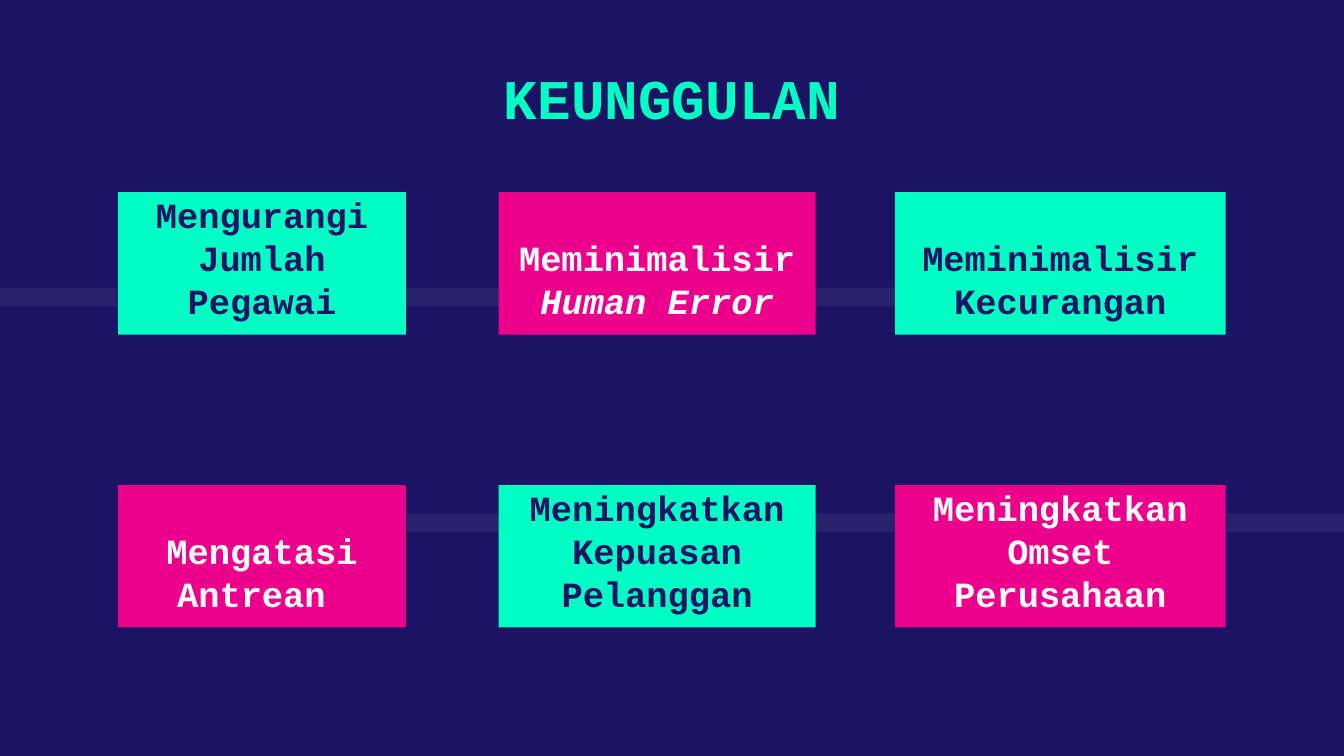
from lxml import etree
from pptx import Presentation
from pptx.dml.color import RGBColor
from pptx.enum.shapes import MSO_SHAPE
from pptx.enum.text import MSO_ANCHOR, PP_ALIGN
from pptx.oxml.ns import qn
from pptx.util import Inches, Pt

RECT = MSO_SHAPE.RECTANGLE
TOP, BOTTOM = MSO_ANCHOR.TOP, MSO_ANCHOR.BOTTOM
CENTER = PP_ALIGN.CENTER


class Theme:
    navy = RGBColor.from_string("1B1464")
    mint = RGBColor.from_string("00FFC5")
    pink = RGBColor.from_string("EC008C")
    white = RGBColor.from_string("FFFFFF")
    font = "Courier New"
    title = Pt(30)
    body = Pt(19)


def add_rect(left, top, width, height, color):
    shape = slide.shapes.add_shape(
        RECT, Inches(left), Inches(top), Inches(width), Inches(height))
    shape.shadow.inherit = False
    shape.fill.solid()
    shape.fill.fore_color.rgb = color
    shape.line.fill.background()
    return shape


def add_text(shape, runs, size, color, anchor):
    frame = shape.text_frame
    frame.word_wrap = True
    frame.vertical_anchor = anchor
    frame.margin_left = frame.margin_right = Inches(0.1)
    frame.margin_top = frame.margin_bottom = Inches(0.1)
    para = frame.paragraphs[0]
    para.alignment = CENTER
    for text, slant in runs:
        run = para.add_run()
        run.text = text
        run.font.name = Theme.font
        run.font.size = size
        run.font.bold = True
        run.font.italic = slant
        run.font.color.rgb = color


deck = Presentation()
deck.slide_width = Inches(10)
deck.slide_height = Inches(10) * 9 // 16
slide = deck.slides.add_slide(deck.slide_layouts[6])
slide.background.fill.solid()
slide.background.fill.fore_color.rgb = Theme.navy

for left, top, width in [(0, 2.14, 8.52), (1.02, 3.82, 8.98)]:
    band = add_rect(left, top, width, 0.14, Theme.white)
    tint = band.fill._xPr.find(qn("a:solidFill"))[0]
    etree.SubElement(tint, qn("a:alpha")).set("val", "6000")

title = slide.shapes.add_textbox(
    Inches(1.4), Inches(0.37), Inches(7.2), Inches(0.73))
add_text(title, [("KEUNGGULAN", None)], Theme.title, Theme.mint, TOP)

cols = [(0.88, 2.14), (3.71, 2.36), (6.66, 2.46)]
rows = [
    (1.43, [
        [("Mengurangi Jumlah Pegawai", None)],
        [("Meminimalisir ", None), ("Human Error", True)],
        [("Meminimalisir Kecurangan", None)],
    ]),
    (3.61, [
        [("Mengatasi Antrean ", None)],
        [("Meningkatkan Kepuasan Pelanggan", None)],
        [("Meningkatkan Omset Perusahaan", None)],
    ]),
]
styles = [(Theme.mint, Theme.navy), (Theme.pink, Theme.white)]

for row, (top, cells) in enumerate(rows):
    for col, ((left, width), runs) in enumerate(zip(cols, cells)):
        fill, ink = styles[(row + col) % 2]
        card = add_rect(left, top, width, 1.06, fill)
        add_text(card, runs, Theme.body, ink, BOTTOM)

deck.save("out.pptx")
